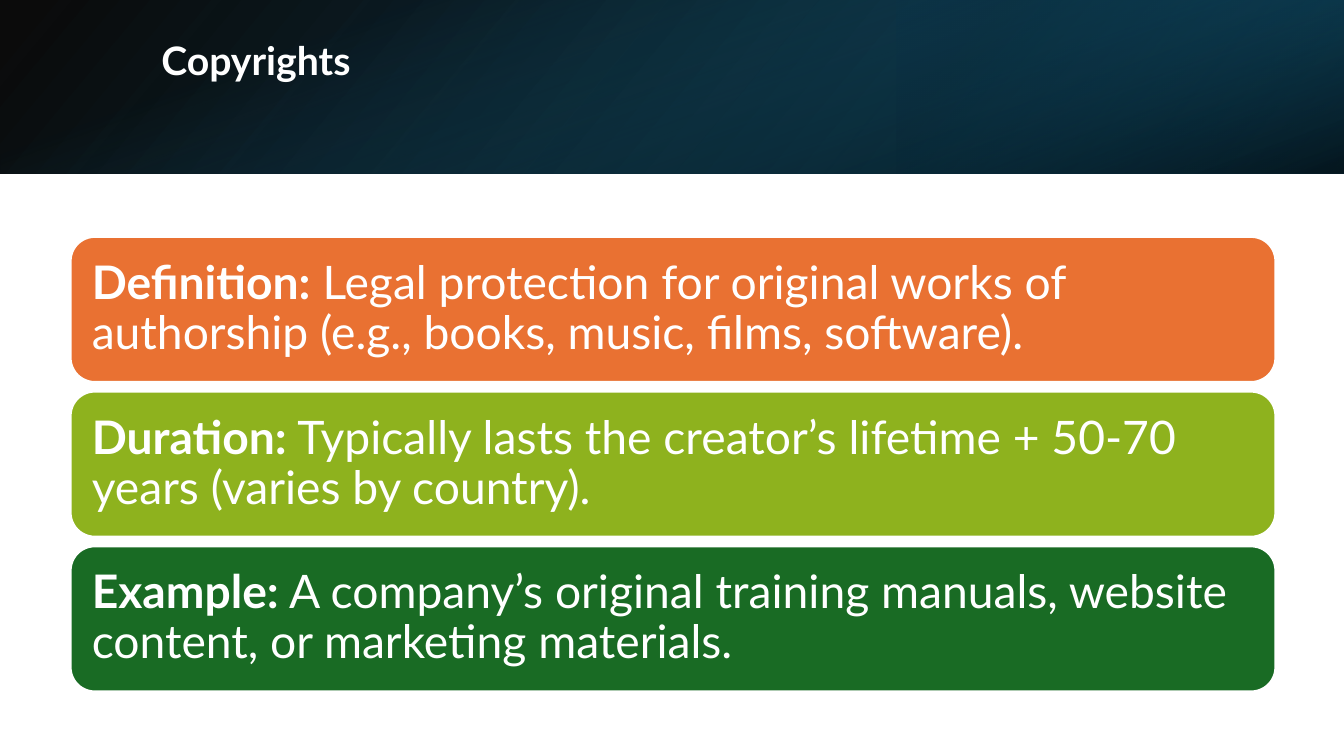
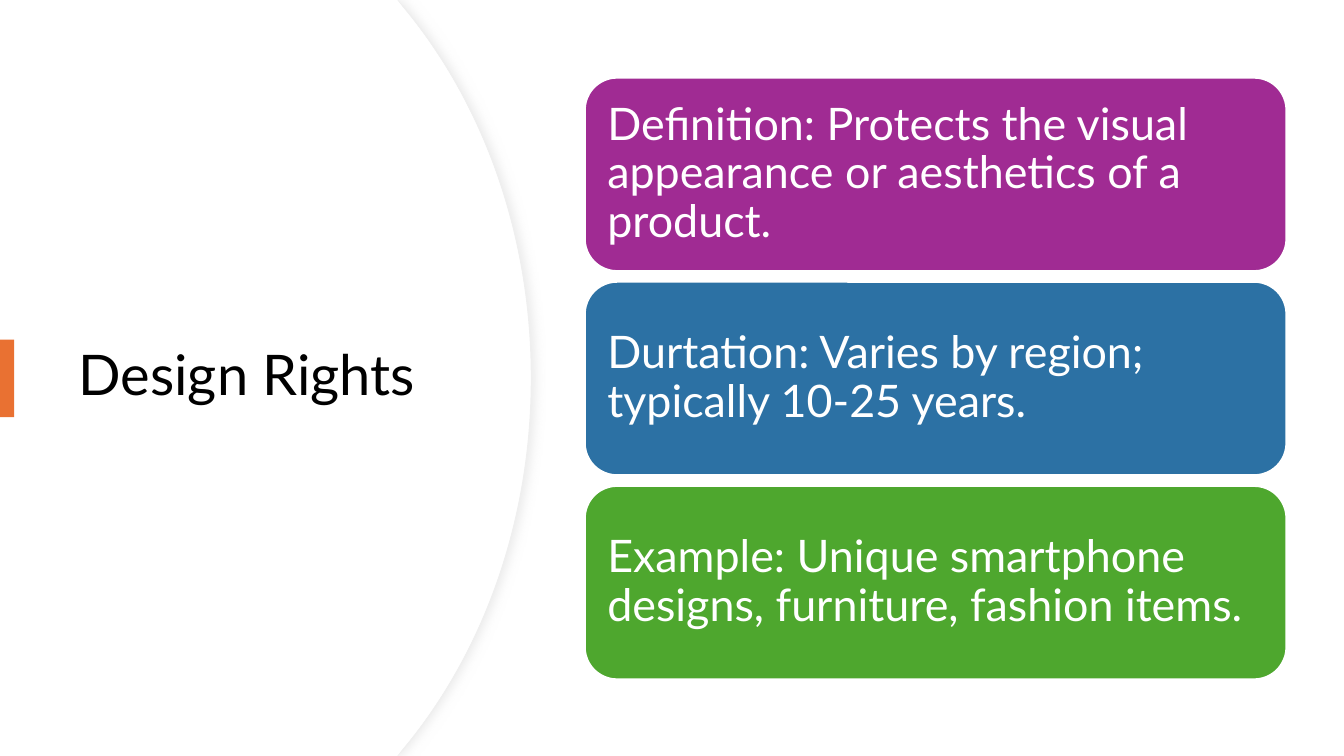
from lxml import etree
from pptx import Presentation
from pptx.dml.color import RGBColor
from pptx.enum.shapes import MSO_SHAPE
from pptx.enum.text import MSO_ANCHOR, PP_ALIGN
from pptx.oxml import parse_xml
from pptx.oxml.ns import nsdecls, qn
from pptx.util import Inches, Pt

RECT, ROUND = MSO_SHAPE.RECTANGLE, MSO_SHAPE.ROUNDED_RECTANGLE
MIDDLE, LEFT = MSO_ANCHOR.MIDDLE, PP_ALIGN.LEFT

WHITE = RGBColor(0xFF, 0xFF, 0xFF)
BLACK = RGBColor(0x00, 0x00, 0x00)
ORANGE = RGBColor(0xE9, 0x71, 0x32)
LIME = RGBColor(0x8E, 0xB2, 0x1E)
GREEN = RGBColor(0x19, 0x6B, 0x24)
PURPLE = RGBColor(0xA0, 0x2B, 0x93)
BLUE = RGBColor(0x2C, 0x71, 0xA4)
LEAF = RGBColor(0x4E, 0xA7, 0x2E)
TEAL = RGBColor(0x15, 0x60, 0x82)
DEEP = RGBColor(0x10, 0x48, 0x62)
NAVY = RGBColor(0x0B, 0x30, 0x41)
PALE = RGBColor(0xEF, 0xEF, 0xEF)
GREY = RGBColor(0xD9, 0xD9, 0xD9)

FONT = "Lato"
WIDE, HIGH = 13.33, 7.5
BAND = 1.72


class Deck:
    def __init__(self):
        self.prs = Presentation()
        self.prs.slide_width = Inches(WIDE)
        self.prs.slide_height = Inches(HIGH)
        self.slide = None

    def page(self):
        self.slide = self.prs.slides.add_slide(self.prs.slide_layouts[5])

    def style(self, frame, size, color):
        frame.word_wrap = True
        frame.vertical_anchor = MIDDLE
        para = frame.paragraphs[0]
        para.alignment = LEFT
        para.line_spacing = 0.9
        para.font.size = Pt(size)
        for run in para.runs:
            run.font.name = FONT
            run.font.size = Pt(size)
            run.font.color.rgb = color

    def title(self, text, box, size, color, bold=False):
        title = self.slide.shapes.title
        title.left, title.top, title.width, title.height = map(Inches, box)
        title.text_frame.text = text
        self.style(title.text_frame, size, color)
        title.text_frame.paragraphs[0].runs[0].font.bold = bold
        # Bring the title in front of the shapes drawn so far
        title.element.getparent().append(title.element)

    def shape(self, kind, box, fill):
        shape = self.slide.shapes.add_shape(kind, *map(Inches, box))
        shape.shadow.inherit = False
        shape.line.fill.background()
        shape.fill.solid()
        shape.fill.fore_color.rgb = fill
        return shape

    def blend(self, box, stops, angle, turn=0, flip=False):
        """Rectangle with a gradient of (place, colour, opacity) stops."""
        shape = self.shape(RECT, box, BLACK)
        shape.rotation = turn
        props = shape.element.spPr
        if flip:
            props.find(qn("a:xfrm")).set("flipH", "1")
        marks = "".join(
            f'<a:gs pos="{place * 1000}"><a:srgbClr val="{color}">'
            f'<a:alpha val="{alpha * 1000}"/></a:srgbClr></a:gs>'
            for place, color, alpha in stops)
        grad = parse_xml(
            f'<a:gradFill {nsdecls("a")} rotWithShape="1"><a:gsLst>{marks}'
            f'</a:gsLst><a:lin ang="{angle * 60000}" scaled="0"/></a:gradFill>')
        props.replace(props.find(qn("a:solidFill")), grad)

    def dish(self, edge, line=None):
        """White panel with a curved right side; a lined one casts a shadow."""
        near, mid = edge - 1.26, edge - 0.48
        upper = [(3.94, 0), (near, 0.08), (mid, 1.02), (edge, 2.32)]
        lower = [(x, HIGH - y) for x, y in reversed(upper)]
        points = upper + [(edge, HIGH / 2)] + lower + [(0, HIGH)]
        path = self.slide.shapes.build_freeform(0, 0)
        path.add_line_segments(
            [(Inches(x), Inches(y)) for x, y in points], close=True)
        panel = path.convert_to_shape()
        # Bend the six middle segments into two cubic curves
        parts = list(panel.element.iter(qn("a:lnTo")))
        for start in (2, 5):
            curve = etree.Element(qn("a:cubicBezTo"))
            parts[start].addprevious(curve)
            for part in parts[start:start + 3]:
                curve.append(part[0])
                part.getparent().remove(part)
        panel.shadow.inherit = False
        panel.fill.solid()
        panel.fill.fore_color.rgb = WHITE
        if line is None:
            panel.line.fill.background()
            return
        panel.line.color.rgb = line
        panel.line.width = Pt(0.75)
        glow = etree.SubElement(
            panel.element.spPr.find(qn("a:effectLst")), qn("a:outerShdw"),
            blurRad=str(Pt(7)), dist=str(Pt(3)), dir="0", rotWithShape="0")
        tint = etree.SubElement(glow, qn("a:srgbClr"), val=str(GREY))
        etree.SubElement(tint, qn("a:alpha"), val="50000")

    def cards(self, box, last, cards, size, inset):
        """Cards of (fill, bold lead, text), evenly spread down to last."""
        left, top, width, height = box
        step = (last - top) / (len(cards) - 1)
        for i, (fill, lead, text) in enumerate(cards):
            card = self.shape(ROUND, (left, top + i * step, width, height),
                              fill)
            card.line.color.rgb = WHITE
            card.line.width = Pt(1.5)
            frame = card.text_frame
            frame.margin_left = frame.margin_right = Inches(inset)
            frame.margin_top = frame.margin_bottom = Inches(inset)
            para = frame.paragraphs[0]
            if lead:
                run = para.add_run()
                run.text = lead
                run.font.bold = True
            para.add_run().text = text
            self.style(frame, size, WHITE)


def main():
    deck = Deck()

    # Copyrights: dark band made of three blends
    deck.page()
    deck.blend((0, 0, WIDE, BAND), [(0, BLACK, 96), (100, DEEP, 100)],
               140, flip=True)
    deck.blend((8.89, 0, 4.44, BAND), [(19, NAVY, 68), (100, TEAL, 79)],
               320, turn=180, flip=True)
    deck.blend(((WIDE - BAND) / 2, (BAND - WIDE) / 2, BAND, WIDE),
               [(23, TEAL, 0), (99, BLACK, 74)], 340, turn=90)
    deck.title("Copyrights\v", (1.5, 0.38, 10.98, 0.96), 28, WHITE, bold=True)
    deck.cards((0.7, 2.35, 11.95, 1.44), 5.42, [
        (ORANGE, "Definition:", " Legal protection for original works of "
         "authorship (e.g., books, music, films, software)."),
        (LIME, "Duration:", " Typically lasts the creator’s lifetime + 50-70 "
         "years (varies by country)."),
        (GREEN, "Example:", " A company’s original training manuals, website "
         "content, or marketing materials."),
    ], 33, 0.14)

    # Design rights: curved panel, accent bar and cards
    deck.page()
    deck.dish(5.27, PALE)
    deck.dish(5.26)
    deck.title("Design Rights", (0.68, 1.27, 3.94, 4.95), 40, BLACK)
    deck.shape(RECT, (0, 3.37, 0.14, 0.77), ORANGE)
    deck.cards((5.8, 0.77, 6.96, 1.92), 4.82, [
        (PURPLE, "", "Definition: Protects the visual appearance or "
         "aesthetics of a product."),
        (BLUE, "", "Durtation: Varies by region; typically 10-25 years."),
        (LEAF, "", "Example: Unique smartphone designs, furniture, "
         "fashion items."),
    ], 32, 0.13)

    deck.prs.save("out.pptx")


if __name__ == "__main__":
    main()
